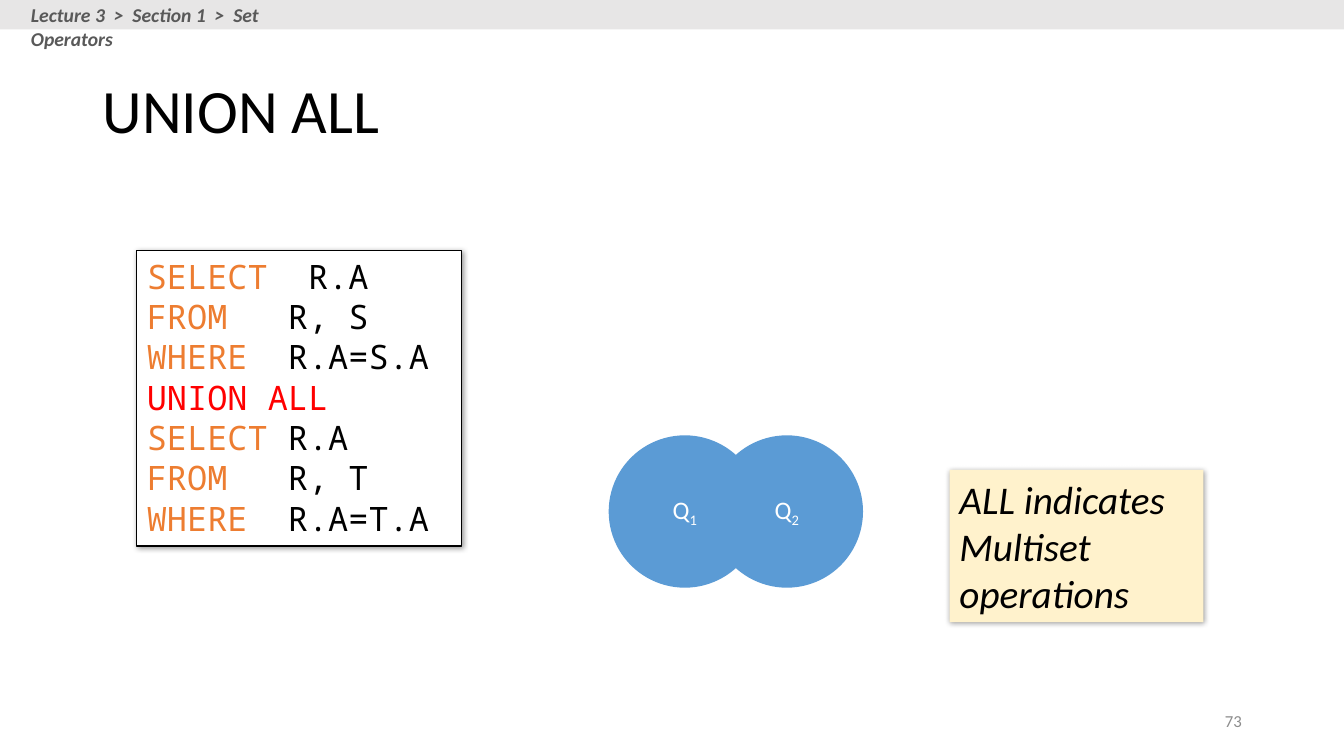
"""Build the UNION ALL slide: query, Venn circles and a note on multisets."""
from lxml.etree import SubElement
from pptx import Presentation
from pptx.dml.color import RGBColor
from pptx.enum.shapes import MSO_SHAPE as SHAPE
from pptx.enum.text import MSO_ANCHOR as ANCHOR, PP_ALIGN as ALIGN
from pptx.oxml.ns import qn
from pptx.util import Cm, Pt

rgb = RGBColor.from_string


def add_box(s, x, y, w, h, fill=None, shape=SHAPE.RECTANGLE, line=None,
            anchor=ANCHOR.TOP, shadow=False):
    area = Cm(x), Cm(y), Cm(w), Cm(h)
    if fill:
        sp = s.shapes.add_shape(shape, *area)
        sp.shadow.inherit = False
        sp.fill.solid()
        sp.fill.fore_color.rgb = rgb(fill)
        if line:
            sp.line.color.rgb = rgb(line)
            sp.line.width = Pt(0.75)
        else:
            sp.line.fill.background()
    else:
        sp = s.shapes.add_textbox(*area)
    if shadow:
        effects = sp._element.spPr.find(qn("a:effectLst"))
        outer = SubElement(effects, qn("a:outerShdw"), blurRad=str(Pt(4)),
                           dist=str(Pt(1)), dir="2700000", algn="tl", rotWithShape="0")
        color = SubElement(outer, qn("a:srgbClr"), val="000000")
        SubElement(color, qn("a:alpha"), val="40000")
    tf = sp.text_frame
    tf.word_wrap = True
    tf.vertical_anchor = anchor
    return tf


def add_run(p, text, size, color="000000", font="Calibri", bold=False,
            italic=False, align=ALIGN.LEFT, baseline=0):
    p.alignment = align
    r = p.add_run()
    r.text = text
    r.font.size = Pt(size)
    r.font.name = font
    r.font.bold = bold
    r.font.italic = italic
    r.font.color.rgb = rgb(color)
    if baseline:
        r._r.get_or_add_rPr().set("baseline", str(baseline * 1000))


prs = Presentation()
prs.slide_width, prs.slide_height = Cm(33.87), Cm(19.05)
s = prs.slides.add_slide(prs.slide_layouts[6])

tf = add_box(s, 2.34, 1.02, 29.21, 3.68, anchor=ANCHOR.MIDDLE)
tf.paragraphs[0].line_spacing = 0.9
add_run(tf.paragraphs[0], "UNION ALL", 44)

tf = add_box(s, 23.93, 17.65, 7.62, 1.02, anchor=ANCHOR.MIDDLE)
add_run(tf.paragraphs[0], "73", 12, color="8C8C8C", align=ALIGN.RIGHT)

KEYWORD, UNION = "ED7D31", "FF0000"
query = [
    ("SELECT", "  R.A", KEYWORD),
    ("FROM", "   R, S", KEYWORD),
    ("WHERE", "  R.A=S.A", KEYWORD),
    ("UNION ALL", "", UNION),
    ("SELECT", " R.A", KEYWORD),
    ("FROM", "   R, T", KEYWORD),
    ("WHERE", "  R.A=T.A", KEYWORD),
]
tf = add_box(s, 3.45, 6.32, 8.18, 7.44, fill="FFFFFF", line="000000", shadow=True)
for i, (keyword, rest, color) in enumerate(query):
    p = tf.add_paragraph() if i else tf.paragraphs[0]
    add_run(p, keyword, 24, color=color, font="Noto Sans Mono")
    if rest:
        add_run(p, rest, 24, font="Noto Sans Mono")

add_box(s, 0, 0, 33.87, 0.74, fill="E7E6E6")
tf = add_box(s, 0.53, -0.05, 8.31, 0.86)
add_run(tf.paragraphs[0], "Lecture 3  >  Section 1  >  Set Operators", 14,
        color="595959", bold=True, italic=True)

for i, number in enumerate("12"):
    tf = add_box(s, 15.34 + 2.57 * i, 10.97, 3.84, 3.84, fill="5B9BD5",
                 shape=SHAPE.OVAL, anchor=ANCHOR.MIDDLE)
    p = tf.paragraphs[0]
    add_run(p, "Q", 18, color="FFFFFF", align=ALIGN.CENTER)
    add_run(p, number, 18, color="FFFFFF", align=ALIGN.CENTER, baseline=-25)

tf = add_box(s, 23.93, 11.84, 6.4, 3.84, fill="FFF2CC", shadow=True)
add_run(tf.paragraphs[0], "ALL indicates Multiset operations", 28, italic=True)

prs.save("out.pptx")
